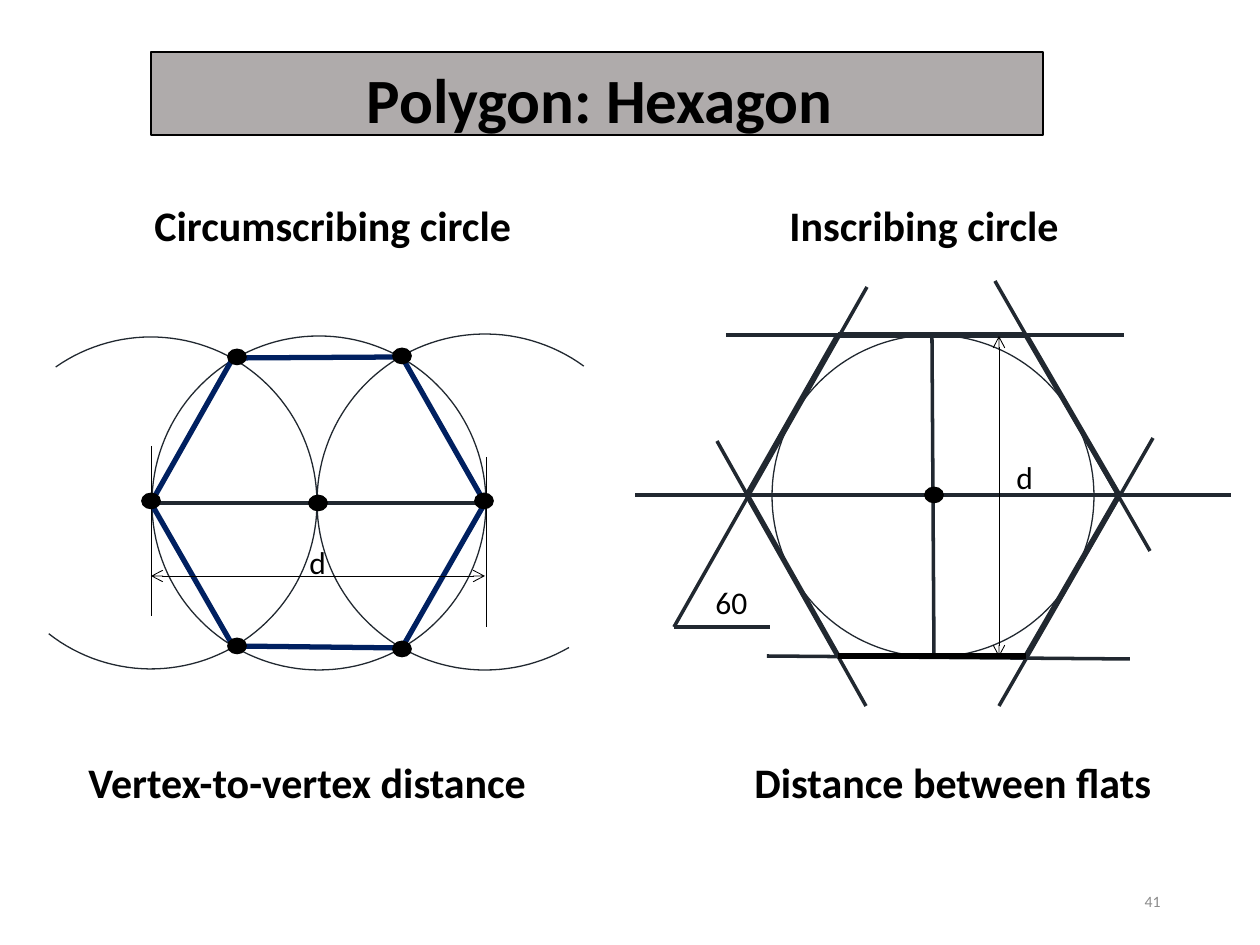
import math
from lxml import etree
from pptx import Presentation, util as u
from pptx.dml.color import RGBColor
from pptx.enum import shapes, text
from pptx.oxml.ns import qn

SCALE = 914400 / 126
COLORS = {
    "construction": "212830",
    "navy": "002060",
    "black": "000000",
    "banner": "AFABAB",
    "number": "8C8C8C",
}

LEFT_HEXAGON = [(151, 503), (233, 358), (402, 357), (485, 503), (402, 648), (233, 646)]
RIGHT_HEXAGON = [(838, 656), (747, 495), (838, 335), (1026, 335), (1119, 495), (1026, 656)]
ARCS = [
    (319, 503, 167, 0, 360),
    (485, 502, 168, 60, 306),
    (151, 503, 166, 235, 488),
    (933, 496, 161, 0, 360),
]
CONSTRUCTION_LINES = [
    ((151, 503), (485, 503)),
    ((1130, 659), (767, 656)),
    ((932, 334), (934, 656)),
    ((1231, 495), (635, 495)),
    ((674, 627), (770, 627)),
    ((674, 627), (867, 287)),
    ((726, 335), (1124, 335)),
    ((1150, 551), (995, 281)),
    ((999, 706), (1153, 438)),
    ((866, 706), (717, 441)),
]
EXTENSION_LINES = [((486, 457), (486, 627)), ((151, 446), (151, 616))]
DIMENSION_LINES = [((151, 576), (485, 576)), ((999, 336), (999, 657))]
HEADINGS = [
    ("Circumscribing circle", 142, 193, 386),
    ("Inscribing circle", 777, 193, 297),
    ("Vertex-to-vertex distance", 76, 750, 470),
    ("Distance between flats", 742, 750, 427),
]
LABELS = [("d", 297, 537, 43), ("d", 1004, 452, 43), ("60", 703, 577, 58)]
DOTS = [(484, 501), (151, 501), (318, 503), (402, 356),
        (237, 357), (237, 646), (402, 649), (934, 495)]


def px(value):
    return u.Emu(round(value * SCALE))


def rgb(name):
    return RGBColor.from_string(COLORS[name])


def apply(target, values):
    for name, value in values.items():
        setattr(target, name, value)


def style_line(shape, color, width):
    shape.line.color.rgb = rgb(color)
    shape.line.width = u.Pt(width)


def style_solid(shape, fill, width=1):
    shape.shadow.inherit = False
    shape.fill.solid()
    shape.fill.fore_color.rgb = rgb(fill)
    style_line(shape, "black", width)


def write(frame, content, size, color="black", bold=False, align=text.PP_ALIGN.LEFT):
    paragraph = frame.paragraphs[0]
    paragraph.alignment = align
    run = paragraph.add_run()
    run.text = content
    apply(run.font, {"name": "Calibri", "size": u.Pt(size), "bold": bold})
    run.font.color.rgb = rgb(color)


def add_line(slide, start, end, color="construction", width=0, arrows=False):
    line = slide.shapes.add_connector(
        shapes.MSO_CONNECTOR.STRAIGHT, *map(px, (*start, *end)))
    style_line(line, color, width)
    properties = line._element.spPr
    if arrows:
        outline = properties.find(qn("a:ln"))
        for tag in ("a:headEnd", "a:tailEnd"):
            etree.SubElement(outline, qn(tag), type="arrow")
    etree.SubElement(properties, qn("a:effectLst"))


def add_edges(slide, vertices, color, closed):
    ends = vertices[1:] + (vertices[:1] if closed else [])
    for start, end in zip(vertices, ends):
        add_line(slide, start, end, color, 3)


def add_arc(slide, x, y, radius, first, last):
    steps = math.ceil((last - first) / 2.5)
    angles = [math.radians(first + (last - first) * i / steps) for i in range(steps + 1)]
    points = [(px(x + radius * math.cos(a)), px(y + radius * math.sin(a))) for a in angles]
    builder = slide.shapes.build_freeform(*points[0])
    builder.add_line_segments(points[1:], close=last - first == 360)
    arc = builder.convert_to_shape()
    arc.shadow.inherit = False
    arc.fill.background()
    style_line(arc, "construction", 0)


def add_dot(slide, x, y, width=18, height=15):
    dot = slide.shapes.add_shape(
        shapes.MSO_SHAPE.OVAL,
        *map(px, (x - width / 2, y - height / 2, width, height)))
    style_solid(dot, "black")


def add_label(slide, content, x, y, width, height, size, bold=False):
    frame = slide.shapes.add_textbox(*map(px, (x, y, width, height))).text_frame
    apply(frame, {"word_wrap": False, "auto_size": text.MSO_AUTO_SIZE.SHAPE_TO_FIT_TEXT})
    write(frame, content, size, bold=bold)


def add_title(slide, content):
    banner = slide.shapes.add_shape(
        shapes.MSO_SHAPE.RECTANGLE, *map(px, (151, 52, 892, 83)))
    style_solid(banner, "banner")
    apply(banner.text_frame, {
        "vertical_anchor": text.MSO_ANCHOR.TOP,
        "margin_top": px(9),
        "margin_bottom": 0,
        "margin_left": px(18),
        "word_wrap": True,
    })
    write(banner.text_frame, content, 36, bold=True, align=text.PP_ALIGN.CENTER)


def add_slide_number(slide, content):
    frame = slide.shapes.add_textbox(*map(px, (889, 876, 284, 50))).text_frame
    apply(frame, {"word_wrap": True, "vertical_anchor": text.MSO_ANCHOR.MIDDLE})
    write(frame, content, 9, "number", align=text.PP_ALIGN.RIGHT)


def main():
    presentation = Presentation()
    apply(presentation, {"slide_width": px(1260), "slide_height": px(945)})
    slide = presentation.slides.add_slide(presentation.slide_layouts[6])

    for arc in ARCS:
        add_arc(slide, *arc)
    for start, end in CONSTRUCTION_LINES:
        add_line(slide, start, end)
    add_edges(slide, LEFT_HEXAGON, "navy", True)
    add_edges(slide, RIGHT_HEXAGON, "construction", False)

    add_title(slide, "Polygon: Hexagon")
    for heading in HEADINGS:
        add_label(slide, *heading, 63, 24, True)
    for start, end in EXTENSION_LINES:
        add_line(slide, start, end, "black", 0.5)
    for start, end in DIMENSION_LINES:
        add_line(slide, start, end, "black", 0.5, True)
    for label in LABELS:
        add_label(slide, *label, 50, 18)
    for dot in DOTS:
        add_dot(slide, *dot)
    add_line(slide, RIGHT_HEXAGON[0], RIGHT_HEXAGON[-1], "black", 3)
    add_slide_number(slide, "41")
    presentation.save("out.pptx")


if __name__ == "__main__":
    main()
